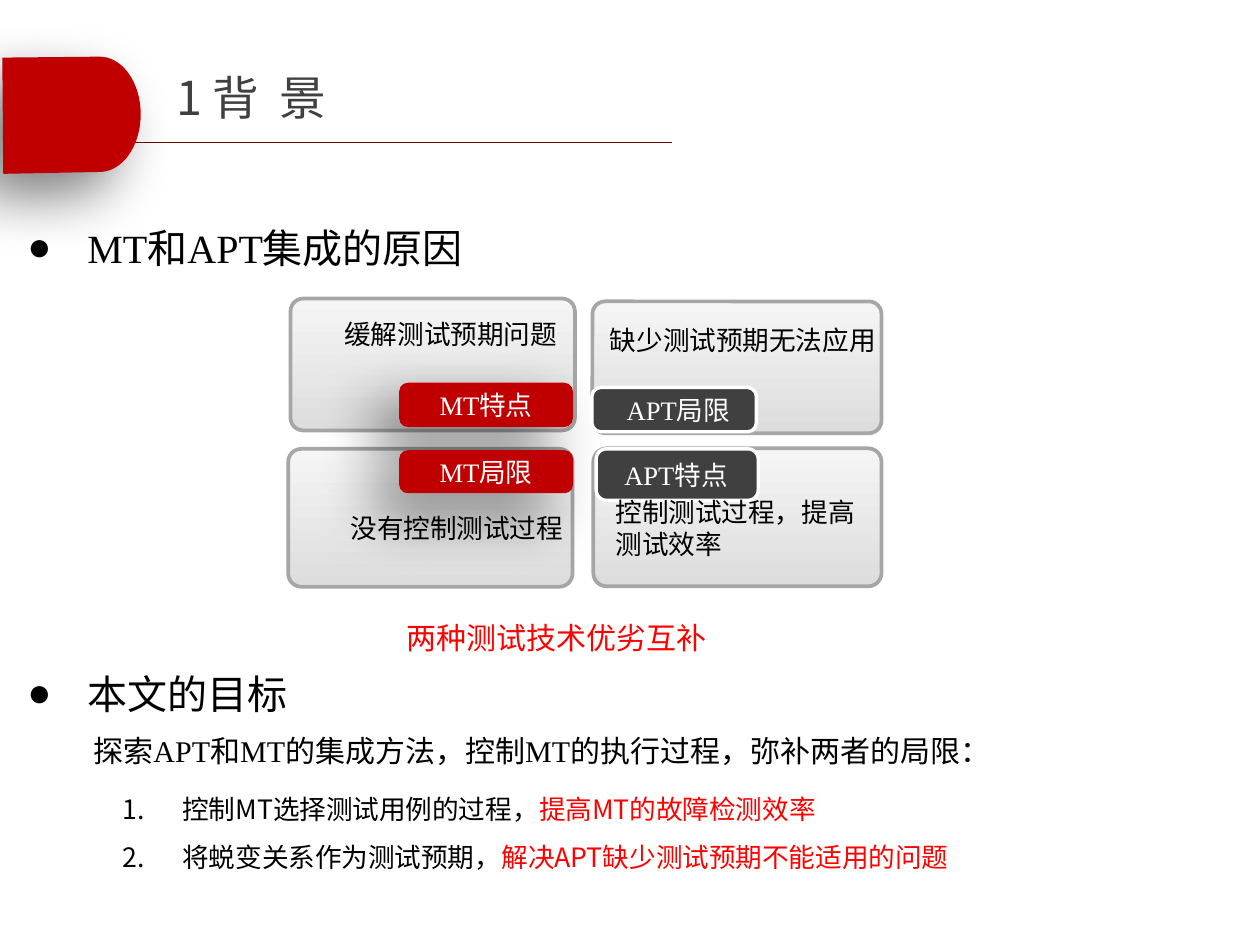
import math
import pptx
import pptx.util
import pptx.dml.color
import pptx.enum.shapes
import pptx.enum.text
import pptx.oxml
import pptx.oxml.ns
import lxml.etree

Cm = pptx.util.Cm
Pt = pptx.util.Pt
RGB = pptx.dml.color.RGBColor.from_string
ALIGN = pptx.enum.text.PP_ALIGN
ANCHOR = pptx.enum.text.MSO_ANCHOR
ROUND = pptx.enum.shapes.MSO_SHAPE.ROUNDED_RECTANGLE
qn = pptx.oxml.ns.qn

COLORS = {
    "red": "C00000", "rule": "760000", "dark": "404040", "edge": "A6A6A6",
    "top": "F5F5F5", "base": "DDDDDD", "white": "FFFFFF", "rim": "FEFFFF",
    "black": "000000", "alert": "FF0000",
}
SANS = "Noto Sans CJK SC"
SERIF = "Times New Roman"
SHADOW = (
    '<a:outerShdw xmlns:a="http://schemas.openxmlformats.org/drawingml/2006/main"'
    ' blurRad="444500" dist="254000" dir="8100000" algn="tr" rotWithShape="0">'
    '<a:srgbClr val="000000"><a:alpha val="50000"/></a:srgbClr></a:outerShdw>'
)

deck = pptx.Presentation()
deck.slide_width = Cm(26.67)
deck.slide_height = Cm(20)
slide = deck.slides.add_slide(deck.slide_layouts[6])
shapes = slide.shapes


def style(para, runs, size, font):
    """Fill a paragraph with (text, color) runs in one size and font."""
    para.font.size = Pt(size)
    para.font.name = font
    props = para._p.get_or_add_pPr().get_or_add_defRPr()
    lxml.etree.SubElement(props, qn("a:ea")).set("typeface", SANS)
    for text, color in runs:
        run = para.add_run()
        run.text = text
        run.font.color.rgb = RGB(COLORS[color])


def write(box, lines, size, font, inset=(0.25, 0.13), mark=None):
    """Add a text box; mark is the tag and attribute of its bullet."""
    frame = shapes.add_textbox(*map(Cm, box)).text_frame
    frame.word_wrap = True
    frame.margin_left = frame.margin_right = Cm(inset[0])
    frame.margin_top = frame.margin_bottom = Cm(inset[1])
    for i, runs in enumerate(lines):
        para = frame.add_paragraph() if i else frame.paragraphs[0]
        style(para, runs, size, font)
        if mark:
            tag, key, value = mark
            props = para._p.get_or_add_pPr()
            props.set("marL", str(Cm(1.27)))
            props.set("indent", str(-Cm(1.27)))
            face = lxml.etree.Element(qn("a:buFont"))
            face.set("typeface", font)
            bullet = lxml.etree.Element(qn(tag))
            bullet.set(key, value)
            props.insert(0, face)
            props.insert(1, bullet)
    return frame


# Header
rule = shapes.add_connector(
    pptx.enum.shapes.MSO_CONNECTOR.STRAIGHT, Cm(1.75), Cm(3.02), Cm(14.22), Cm(3.02))
rule.line.color.rgb = RGB(COLORS["rule"])
rule.line.width = Pt(0.75)
lxml.etree.SubElement(rule._element.spPr, qn("a:effectLst"))

arc = [(2.11 + 0.87 * math.cos(math.radians(a)), 2.42 + 1.22 * math.sin(math.radians(a)))
       for a in range(-90, 91, 5)]
pen = shapes.build_freeform(Cm(0.05), Cm(1.22))
pen.add_line_segments([(Cm(x), Cm(y)) for x, y in arc + [(0.07, 3.68)]], close=True)
tab = pen.convert_to_shape()
tab.fill.solid()
tab.fill.fore_color.rgb = RGB(COLORS["red"])
tab.line.fill.background()
tab.shadow.inherit = False
tab._element.spPr.find(qn("a:effectLst")).append(pptx.oxml.parse_xml(SHADOW))

title = write((3.43, 0.79, 5.87, 2.51),
              [[("1 ", "dark"), ("背 ", "dark"), ("景", "dark")]], 28, SANS, (0.3, 0.15))
title.vertical_anchor = ANCHOR.MIDDLE
title.paragraphs[0].runs[1]._r.get_or_add_rPr().set("spc", "300")

# Cards
cards = [
    (6.15, 6.32, 6.02, 2.79), (12.54, 6.38, 6.12, 2.79),
    (6.1, 9.5, 6.02, 2.92), (12.56, 9.49, 6.1, 2.92),
]
for box in cards:
    card = shapes.add_shape(ROUND, *map(Cm, box))
    card.adjustments[0] = 0.096
    card.fill.gradient()
    card.fill.gradient_angle = 270
    for stop, shade, spot in zip(card.fill.gradient_stops, ("top", "base"), (0, 1)):
        stop.color.rgb = RGB(COLORS[shade])
        stop.position = spot
    card.line.color.rgb = RGB(COLORS["edge"])
    card.line.width = Pt(2.25)
    card.shadow.inherit = False

# Each badge: text, color, box, left margin
badges = [
    ("MT特点", "red", (8.45, 8.1, 3.68, 0.94), 0.25),
    ("MT局限", "red", (8.45, 9.53, 3.68, 0.91), 0.25),
    ("APT特点", "dark", (12.62, 9.5, 3.43, 1.09), 0.2),
    ("APT局限", "dark", (12.53, 8.2, 3.48, 0.94), 0.43),
]
for text, color, box, left in badges:
    badge = shapes.add_shape(ROUND, *map(Cm, box))
    badge.adjustments[0] = 0.2
    badge.fill.solid()
    badge.fill.fore_color.rgb = RGB(COLORS[color])
    badge.shadow.inherit = False
    if color == "red":
        badge.line.fill.background()
        badge._element.spPr.find(qn("a:effectLst")).append(pptx.oxml.parse_xml(SHADOW))
    else:
        badge.line.color.rgb = RGB(COLORS["rim"])
        badge.line.width = Pt(2)
    frame = badge.text_frame
    frame.margin_left = Cm(left)
    frame.margin_top = frame.margin_bottom = 0
    frame.vertical_anchor = ANCHOR.MIDDLE
    frame.paragraphs[0].alignment = ALIGN.CENTER
    style(frame.paragraphs[0], [(text, "white")], 16, SERIF)

notes = [
    ("缓解测试预期问题", (6.93, 6.55, 5.49, 1.04), ALIGN.LEFT),
    ("没有控制测试过程", (7.06, 10.66, 5.23, 1.04), ALIGN.LEFT),
    ("缺少测试预期无法应用", (12.32, 6.68, 6.58, 1.04), ALIGN.RIGHT),
    ("控制测试过程，提高测试效率", (12.67, 10.31, 6.22, 1.73), ALIGN.LEFT),
]
for text, box, align in notes:
    frame = write(box, [[(text, "black")]], 16, SANS, (0.36, 0.18))
    frame.paragraphs[0].alignment = align

# Headings and goals
dot = ("a:buChar", "char", "●")
write((0.33, 4.6, 9.83, 1.27), [[("MT和APT集成的原因", "black")]], 24, SERIF, mark=dot)
write((0.33, 14.04, 6.6, 1.27), [[("本文的目标", "black")]], 24, SERIF, mark=dot)
write((8.36, 12.98, 7.19, 1.02), [[("两种测试技术优劣互补", "alert")]], 18, SERIF)
write((1.73, 15.38, 22, 1.02),
      [[("探索APT和MT的集成方法，控制MT的执行过程，弥补两者的局限：", "black")]], 18, SERIF)
goals = write((2.34, 16.31, 18.57, 2.31), [
    [("控制MT选择测试用例的过程，", "black"), ("提高MT的故障检测效率", "alert")],
    [("将蜕变关系作为测试预期，", "black"), ("解决APT缺少测试预期不能适用的问题", "alert")],
], 16, SANS, mark=("a:buAutoNum", "type", "arabicPeriod"))
for para in goals.paragraphs:
    para.line_spacing = 1.5

deck.save("out.pptx")
